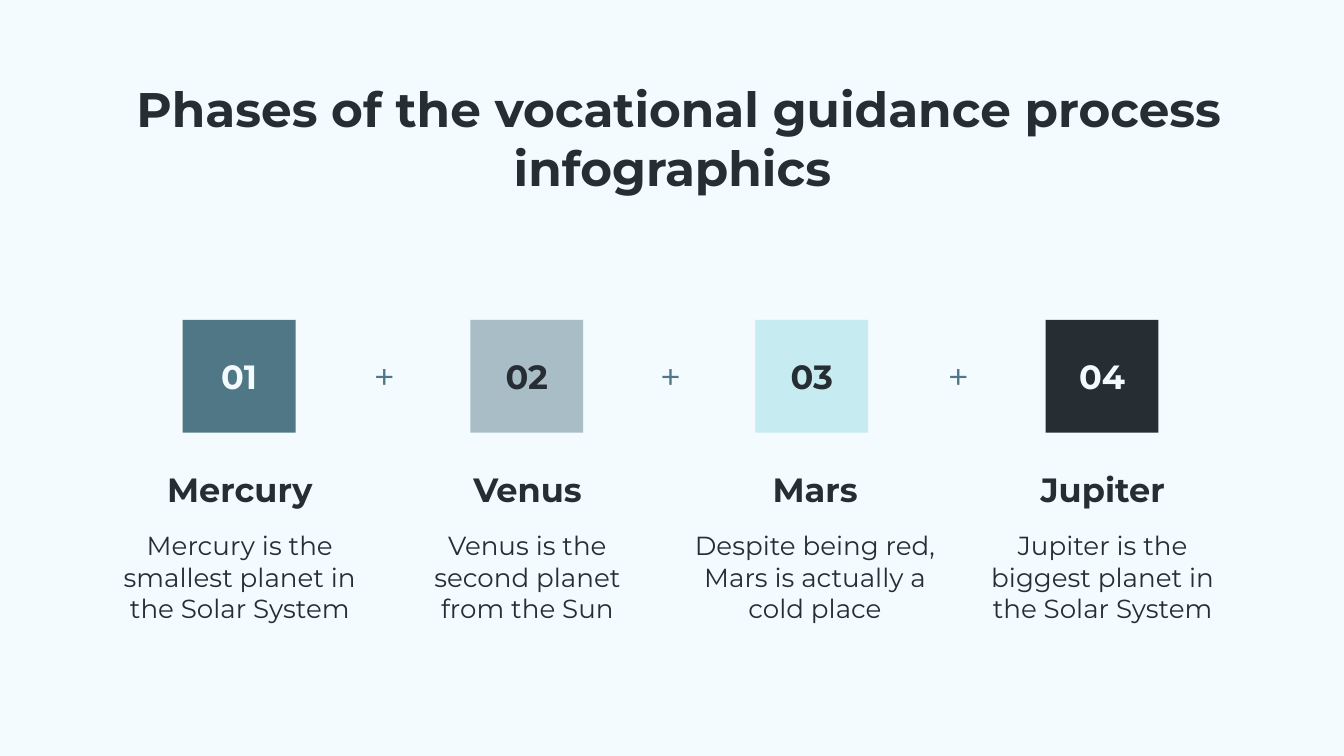
import pptx
import pptx.dml.color
import pptx.enum.shapes
import pptx.enum.text
import pptx.util

Inches = pptx.util.Inches
ANCHOR = pptx.enum.text.MSO_ANCHOR

COLORS = {
    "background": "F3FBFF",
    "ink": "262D33",
    "teal": "4F7786",
    "gray": "A8BDC6",
    "ice": "C6EBF0",
}
FONT = "Montserrat"

# Number, square inset, square colour, number colour, name, description
PHASES = [
    ("01", 0.58, "teal", "background", "Mercury",
     "Mercury is the smallest planet in the Solar System"),
    ("02", 0.58, "gray", "ink", "Venus",
     "Venus is the second planet from the Sun"),
    ("03", 0.56, "ice", "ink", "Mars",
     "Despite being red, Mars is actually a cold place"),
    ("04", 0.58, "ink", "background", "Jupiter",
     "Jupiter is the biggest planet in the Solar System"),
]
COLUMN_WIDTH = 2.01
COLUMN_STEP = 2.14
SQUARE = 0.84


def rgb(name):
    return pptx.dml.color.RGBColor.from_string(COLORS[name])


def write(shape, text, size, color="ink", bold=False, anchor=ANCHOR.MIDDLE):
    """Fill a shape with one centred, formatted paragraph."""
    frame = shape.text_frame
    frame.word_wrap = True
    frame.vertical_anchor = anchor
    frame.margin_left = frame.margin_right = Inches(0.1)
    frame.margin_top = frame.margin_bottom = Inches(0.1)
    para = frame.paragraphs[0]
    para.alignment = pptx.enum.text.PP_ALIGN.CENTER
    span = para.add_run()
    span.text = text
    span.font.name = FONT
    span.font.size = pptx.util.Pt(size)
    span.font.bold = bold
    span.font.color.rgb = rgb(color)


def add_text(shapes, left, top, width, height, text, **style):
    box = shapes.add_textbox(
        Inches(left), Inches(top), Inches(width), Inches(height))
    write(box, text, **style)


def add_title(page, left, top, width, height):
    add_text(page.shapes, left, top, width, height,
             " Phases of the vocational guidance process infographics",
             size=26, bold=True, anchor=ANCHOR.TOP)


def add_phase(page, left, top, width, phase):
    number, inset, fill, number_color, name, description = phase

    # Numbered square
    square = page.shapes.add_shape(
        pptx.enum.shapes.MSO_SHAPE.RECTANGLE,
        Inches(left + inset), Inches(top), Inches(SQUARE), Inches(SQUARE))
    square.shadow.inherit = False
    square.fill.solid()
    square.fill.fore_color.rgb = rgb(fill)
    square.line.fill.background()
    write(square, number, size=18, color=number_color, bold=True)

    # Name and description
    label = page.shapes.add_group_shape()
    add_text(label.shapes, left, top + 1.06, width, 0.4, name,
             size=18, bold=True)
    add_text(label.shapes, left, top + 1.46, width, 0.83, description,
             size=14, anchor=ANCHOR.TOP)


def add_phases(page, left, top):
    for index, phase in enumerate(PHASES):
        add_phase(page, left + index * COLUMN_STEP, top, COLUMN_WIDTH, phase)

    # Plus signs between neighbouring phases
    for plus_left in (1.47, 3.6, 5.74):
        add_text(page.shapes, left + plus_left, top + 0.21, 1.22, 0.41, "+",
                 size=20, color="teal")


def main():
    deck = pptx.Presentation()
    # Widescreen, 16:9
    deck.slide_width = Inches(10)
    deck.slide_height = deck.slide_width * 9 // 16
    page = deck.slides.add_slide(deck.slide_layouts[6])
    page.background.fill.solid()
    page.background.fill.fore_color.rgb = rgb("background")
    add_title(page, 0.79, 0.49, 8.43, 0.98)
    add_phases(page, 0.78, 2.38)
    deck.save("out.pptx")


if __name__ == "__main__":
    main()
